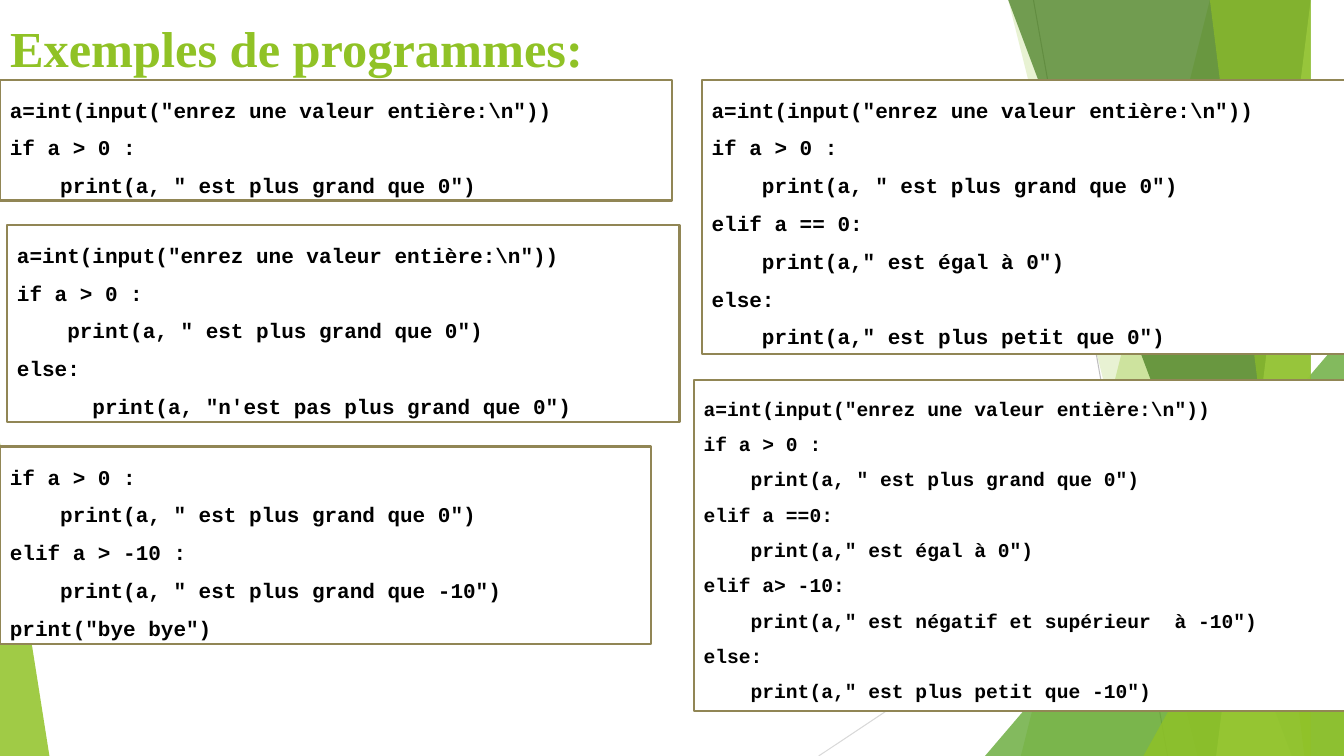
from pptx import Presentation
from pptx.dml.color import RGBColor
from pptx.enum import shapes, text
from pptx.oxml.ns import qn
from pptx.util import Inches, Pt
from lxml import etree

# Content
W, H = 13.33, 7.5
TITLE = "Exemples de programmes:"
ASK = r'a=int(input("enrez une valeur entière:\n"))'
POSITIVE = ["if a > 0 :", '    print(a, " est plus grand que 0")']
ZERO = '    print(a," est égal à 0")'

# left, top, width, height, text size, code lines
PROGRAMS = [
    (0, 0.79, 6.67, 1.2, 15, [ASK, *POSITIVE]),
    (0.07, 2.23, 6.67, 1.96, 15,
     [ASK, *POSITIVE, "else:", '      print(a, "n\'est pas plus grand que 0")']),
    (0, 4.43, 6.46, 1.96, 15,
     [*POSITIVE, "elif a > -10 :", '    print(a, " est plus grand que -10")',
      'print("bye bye")']),
    (6.96, 0.79, 6.67, 2.72, 15,
     [ASK, *POSITIVE, "elif a == 0:", ZERO,
      "else:", '    print(a," est plus petit que 0")']),
    (6.88, 3.77, 6.67, 3.28, 14,
     [ASK, *POSITIVE, "elif a ==0:", ZERO,
      "elif a> -10:", '    print(a," est négatif et supérieur  à -10")',
      "else:", '    print(a," est plus petit que -10")']),
]

COLORS = {"lime": "90C226", "leaf": "54A021", "forest": "3F7819", "pale": "C0E474",
          "grey": "BFBFBF", "light grey": "D9D9D9", "white": "FFFFFF",
          "olive": "918655", "black": "000000"}

# Decoration, back to front
RAYS = [((10.25, 0), (11.58, H), "grey"), ((W, 4.03), (8.12, H), "light grey")]
# band: top x, bottom x, colour, opacity; each reaches the right edge
# triangle: left, top, width, apex share, colour, opacity; each stands on the bottom edge
FACETS = [
    ("band", 12.28, 10.04, "lime", 30),
    ("band", 10.5, 11.83, "lime", 20),
    ("triangle", 9.77, 3.33, 3.56, 1, "leaf", 72),
    ("band", 10.21, 12.91, "forest", 70),
    ("band", 13.03, 11.92, "pale", 70),
    ("band", 11.96, 13.18, "lime", 65),
    ("triangle", 11.34, 3.93, 1.99, 1, "lime", 80),
    ("triangle", 0, 4.39, 0.49, 0, "lime", 85),
]


def rgb(name):
    return RGBColor.from_string(COLORS[name])


def write(tf, lines, size, font, color="black", spacing=1.0):
    """Put one paragraph per line into a text frame."""
    tf.word_wrap = True
    tf.auto_size = text.MSO_AUTO_SIZE.NONE
    tf.vertical_anchor = text.MSO_ANCHOR.TOP
    for i, line in enumerate(lines):
        p = tf.paragraphs[0] if i == 0 else tf.add_paragraph()
        p.alignment = text.PP_ALIGN.LEFT
        p.line_spacing = spacing
        r = p.add_run()
        r.text = line
        r.font.size, r.font.name, r.font.bold = Pt(size), font, True
        r.font.color.rgb = rgb(color)


def paint(sp, color, opacity=100):
    """Flat fill without outline or shadow."""
    sp.shadow.inherit = False
    sp.fill.solid()
    sp.fill.fore_color.rgb = rgb(color)
    sp.line.fill.background()
    if opacity < 100:
        clr = sp.fill._xPr.find(".//" + qn("a:srgbClr"))
        etree.SubElement(clr, qn("a:alpha")).set("val", str(opacity * 1000))


def add_ray(s, start, end, color):
    line = s.shapes.add_connector(shapes.MSO_CONNECTOR.STRAIGHT,
                                  *(Inches(v) for v in start + end))
    line.line.color.rgb = rgb(color)
    line.line.width = Pt(0.75)
    etree.SubElement(line._element.spPr, qn("a:effectLst"))


def add_band(s, top_x, bottom_x, color, opacity):
    outline = s.shapes.build_freeform(top_x, -0.01, scale=Inches(1))
    outline.add_line_segments([(W, -0.01), (W, H), (bottom_x, H)], close=True)
    paint(outline.convert_to_shape(), color, opacity)


def add_triangle(s, left, top, width, apex, color, opacity):
    sp = s.shapes.add_shape(shapes.MSO_SHAPE.ISOSCELES_TRIANGLE, Inches(left),
                            Inches(top), Inches(width), Inches(H - top))
    sp.adjustments[0] = apex
    paint(sp, color, opacity)


def add_program(s, left, top, width, height, size, lines):
    sp = s.shapes.add_shape(shapes.MSO_SHAPE.RECTANGLE,
                            *(Inches(v) for v in (left, top, width, height)))
    paint(sp, "white")
    sp.line.color.rgb = rgb("olive")
    sp.line.width = Pt(1.5)
    write(sp.text_frame, lines, size, "Courier New", spacing=1.5)


def main():
    prs = Presentation()
    prs.slide_width, prs.slide_height = Inches(W), Inches(H)
    s = prs.slides.add_slide(prs.slide_layouts[5])

    # Background facets
    for ray in RAYS:
        add_ray(s, *ray)
    draw = {"band": add_band, "triangle": add_triangle}
    for kind, *facet in FACETS:
        draw[kind](s, *facet)

    # Title
    title = s.shapes.title
    title.left, title.top = Inches(0), Inches(0.06)
    title.width, title.height = Inches(9.4), Inches(1.44)
    write(title.text_frame, [TITLE], 36, "Times New Roman", color="lime")
    title.text_frame.margin_top = Inches(0.11)

    # Code boxes
    for program in PROGRAMS:
        add_program(s, *program)

    prs.save("out.pptx")


if __name__ == "__main__":
    main()
